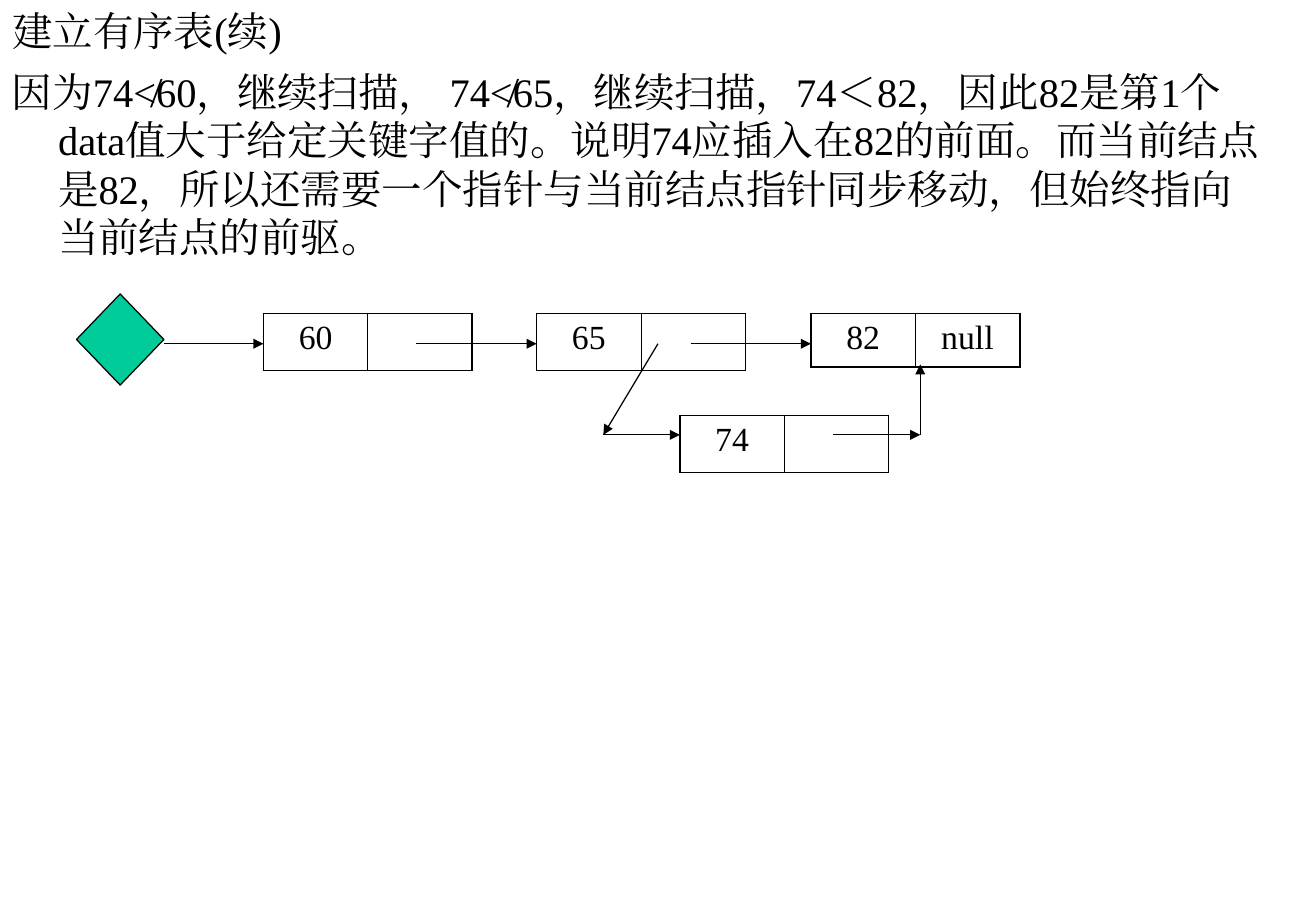
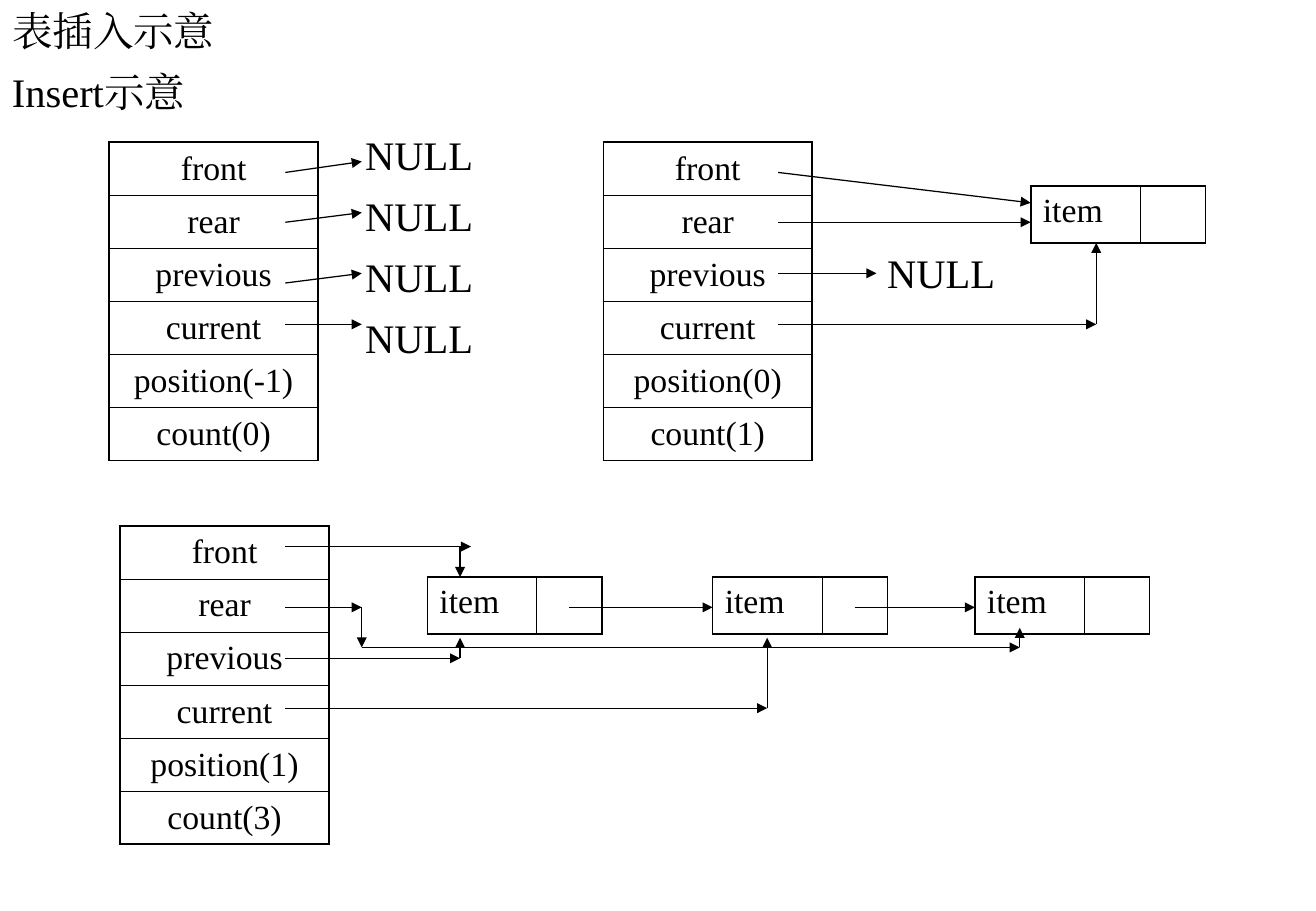
from itertools import pairwise

from lxml.etree import SubElement
from pptx import Presentation
from pptx.dml.color import RGBColor
from pptx.enum.shapes import MSO_CONNECTOR as Connector, MSO_SHAPE as Preset
from pptx.enum.text import MSO_ANCHOR as Anchor, MSO_AUTO_SIZE as AutoSize, PP_ALIGN as Align
from pptx.oxml.ns import qn
from pptx.util import Inches, Pt

FONT = "Times New Roman"
BLACK = "000000"
GREEN = "00CC99"
BODY_SIZE = 24
CELL_SIZE = 20
LINE_WIDTH = 0.75
OUTER_BORDER = 1.08
INNER_BORDER = 0.45
TITLE_ONLY = 5

LIST_TOP = 2.58
LINK_Y = 2.83
NODE_HEIGHT = 0.47
RECORD_WIDTH = 1.72
RECORD_HEIGHT = 2.62
ITEM_COLUMNS = [0.9, 0.54]


def color(value):
    """Turn a hex string into a colour."""
    return RGBColor.from_string(value)


def add_run(paragraph, text, size):
    """Add one black run in the shared font."""
    run = paragraph.add_run()
    run.text = text
    font = run.font
    font.size = Pt(size)
    font.color.rgb = color(BLACK)
    font.name = FONT
    SubElement(run._r.get_or_add_rPr(), qn("a:ea"), typeface=FONT)


def format_frame(frame, anchor=Anchor.TOP):
    """Set wrapping, insets and anchor of a text frame."""
    frame.word_wrap = True
    frame.auto_size = AutoSize.NONE
    frame.vertical_anchor = anchor
    frame.margin_left = frame.margin_right = Inches(0.1)
    frame.margin_top = frame.margin_bottom = Inches(0.05)


def add_titled_slide(presentation, title):
    """Add a slide with the shared title style."""
    slide = presentation.slides.add_slide(presentation.slide_layouts[TITLE_ONLY])
    shape = slide.shapes.title
    shape.left, shape.top = Inches(0), Inches(0)
    shape.width, shape.height = Inches(9.21), Inches(0.5)
    format_frame(shape.text_frame, Anchor.MIDDLE)
    paragraph = shape.text_frame.paragraphs[0]
    paragraph.alignment = Align.LEFT
    add_run(paragraph, title, BODY_SIZE)
    return slide


def add_text(slide, lines, left, top, width, height, hanging=0, gap=0):
    """Add a text box with one paragraph per line."""
    frame = slide.shapes.add_textbox(
        Inches(left), Inches(top), Inches(width), Inches(height)).text_frame
    format_frame(frame)
    for index, line in enumerate(lines):
        paragraph = frame.add_paragraph() if index else frame.paragraphs[0]
        if index:
            paragraph.space_before = Pt(gap)
        if hanging:
            properties = paragraph._p.get_or_add_pPr()
            properties.set("marL", str(Inches(hanging)))
            properties.set("indent", str(-Inches(hanging)))
        add_run(paragraph, line, BODY_SIZE)


def add_body(slide, text):
    """Add the body paragraph with its hanging indent."""
    add_text(slide, [text], 0, 0.5, 10.56, 1.75, hanging=0.38)


def set_borders(cell, widths):
    """Draw the left, right, top and bottom borders of a cell."""
    properties = cell._tc.get_or_add_tcPr()
    for side, width in zip("LRTB", widths):
        line = SubElement(properties, qn(f"a:ln{side}"), w=str(Pt(width)))
        fill = SubElement(line, qn("a:solidFill"))
        SubElement(fill, qn("a:srgbClr"), val=BLACK)


def add_grid(slide, rows, left, top, widths, height, align=Align.CENTER, anchor=Anchor.TOP):
    """Add an unfilled table with thick outer and thin inner borders."""
    last_row, last_column = len(rows) - 1, len(widths) - 1
    table = slide.shapes.add_table(
        len(rows), len(widths), Inches(left), Inches(top),
        Inches(sum(widths)), Inches(height)).table
    table.first_row = table.horz_banding = False
    for column, width in zip(table.columns, widths):
        column.width = Inches(width)
    for row_index, texts in enumerate(rows):
        table.rows[row_index].height = Inches(height / len(rows))
        for column_index, text in enumerate(texts):
            cell = table.cell(row_index, column_index)
            outer = (column_index == 0, column_index == last_column,
                     row_index == 0, row_index == last_row)
            set_borders(cell, [OUTER_BORDER if edge else INNER_BORDER for edge in outer])
            cell.fill.background()
            cell.vertical_anchor = anchor
            if text:
                paragraph = cell.text_frame.paragraphs[0]
                paragraph.alignment = align
                add_run(paragraph, text, CELL_SIZE)


def add_node(slide, value, left, top, link="", height=NODE_HEIGHT):
    """Add a list node with a value and a link field."""
    add_grid(slide, [[value, link]], left, top, [RECORD_WIDTH / 2] * 2, height)


def add_item(slide, left, top):
    """Add an item node."""
    add_grid(slide, [["item", ""]], left, top, ITEM_COLUMNS, NODE_HEIGHT, Align.LEFT)


def add_record(slide, left, top, position, count):
    """Add the column of fields that describes a list."""
    fields = ["front", "rear", "previous", "current",
              f"position({position})", f"count({count})"]
    add_grid(slide, [[field] for field in fields], left, top,
             [RECORD_WIDTH], RECORD_HEIGHT, anchor=Anchor.MIDDLE)


def add_arrows(slide, *points):
    """Join successive points with straight arrows."""
    for start, end in pairwise(points):
        connector = slide.shapes.add_connector(
            Connector.STRAIGHT, *(Inches(value) for value in start + end))
        connector.line.color.rgb = color(BLACK)
        connector.line.width = Pt(LINE_WIDTH)
        SubElement(connector.line._get_or_add_ln(), qn("a:tailEnd"), type="triangle")
        SubElement(connector._element.spPr, qn("a:effectLst"))


def add_head(slide, left, top, width, height):
    """Add the diamond that stands for the head of the list."""
    shape = slide.shapes.add_shape(
        Preset.DIAMOND, Inches(left), Inches(top), Inches(width), Inches(height))
    shape.shadow.inherit = False
    shape.fill.solid()
    shape.fill.fore_color.rgb = color(GREEN)
    shape.line.color.rgb = color(BLACK)
    shape.line.width = Pt(LINE_WIDTH)


def build_ordered_list(presentation):
    """Build the slide on inserting into an ordered list."""
    slide = add_titled_slide(presentation, "建立有序表(续)")
    add_body(slide, "因为74≮60，继续扫描， 74≮65，继续扫描，74＜82，因此82是第1个data值"
                    "大于给定关键字值的。说明74应插入在82的前面。而当前结点是82，"
                    "所以还需要一个指针与当前结点指针同步移动，但始终指向当前结点的前驱。")
    add_head(slide, 0.63, 2.42, 0.72, 0.75)
    add_node(slide, "60", 2.17, LIST_TOP)
    add_node(slide, "65", 4.42, LIST_TOP)
    add_node(slide, "82", 6.68, LIST_TOP, "null", 0.44)
    add_node(slide, "74", 5.6, 3.42)
    for start, end in [(1.35, 2.17), (3.43, 4.42), (5.69, 6.68)]:
        add_arrows(slide, (start, LINK_Y), (end, LINK_Y))
    add_arrows(slide, (5.42, LINK_Y), (4.97, 3.58), (5.6, 3.58))
    add_arrows(slide, (6.86, 3.58), (7.58, 3.58), (7.58, 3))


def build_insertion(presentation):
    """Build the slide showing a list before and after insertions."""
    slide = add_titled_slide(presentation, "表插入示意")
    add_body(slide, "Insert示意")
    add_text(slide, ["NULL"] * 4, 2.91, 1.02, 1.2, 2, gap=7.4)
    add_text(slide, ["NULL"], 7.21, 1.99, 1.2, 0.5)

    add_record(slide, 0.9, 1.17, -1, 0)
    for start_y, end_y in [(1.42, 1.33), (1.83, 1.75), (2.33, 2.25), (2.67, 2.67)]:
        add_arrows(slide, (2.35, start_y), (2.98, end_y))

    add_record(slide, 4.97, 1.17, 0, 1)
    add_item(slide, 8.49, 1.53)
    add_arrows(slide, (6.41, 1.42), (8.49, 1.67))
    add_arrows(slide, (6.41, 1.83), (8.49, 1.83))
    add_arrows(slide, (6.41, 2.25), (7.22, 2.25))
    add_arrows(slide, (6.41, 2.67), (9.03, 2.67), (9.03, 2))

    add_record(slide, 0.99, 4.33, 1, 3)
    for left in (3.52, 5.87, 8.03):
        add_item(slide, left, 4.75)
    add_arrows(slide, (2.35, 4.5), (3.88, 4.5))
    add_arrows(slide, (3.79, 4.5), (3.79, 4.75))
    add_arrows(slide, (2.35, 5), (2.98, 5), (2.98, 5.33), (8.4, 5.33), (8.4, 5.17))
    add_arrows(slide, (4.69, 5), (5.87, 5))
    add_arrows(slide, (7.04, 5), (8.03, 5))
    add_arrows(slide, (2.35, 5.42), (3.79, 5.42), (3.79, 5.25))
    add_arrows(slide, (2.35, 5.83), (6.32, 5.83), (6.32, 5.25))


def main():
    """Build and save the presentation."""
    presentation = Presentation()
    presentation.slide_width = Inches(10.84)
    presentation.slide_height = Inches(7.5)
    build_ordered_list(presentation)
    build_insertion(presentation)
    presentation.save("out.pptx")


if __name__ == "__main__":
    main()
